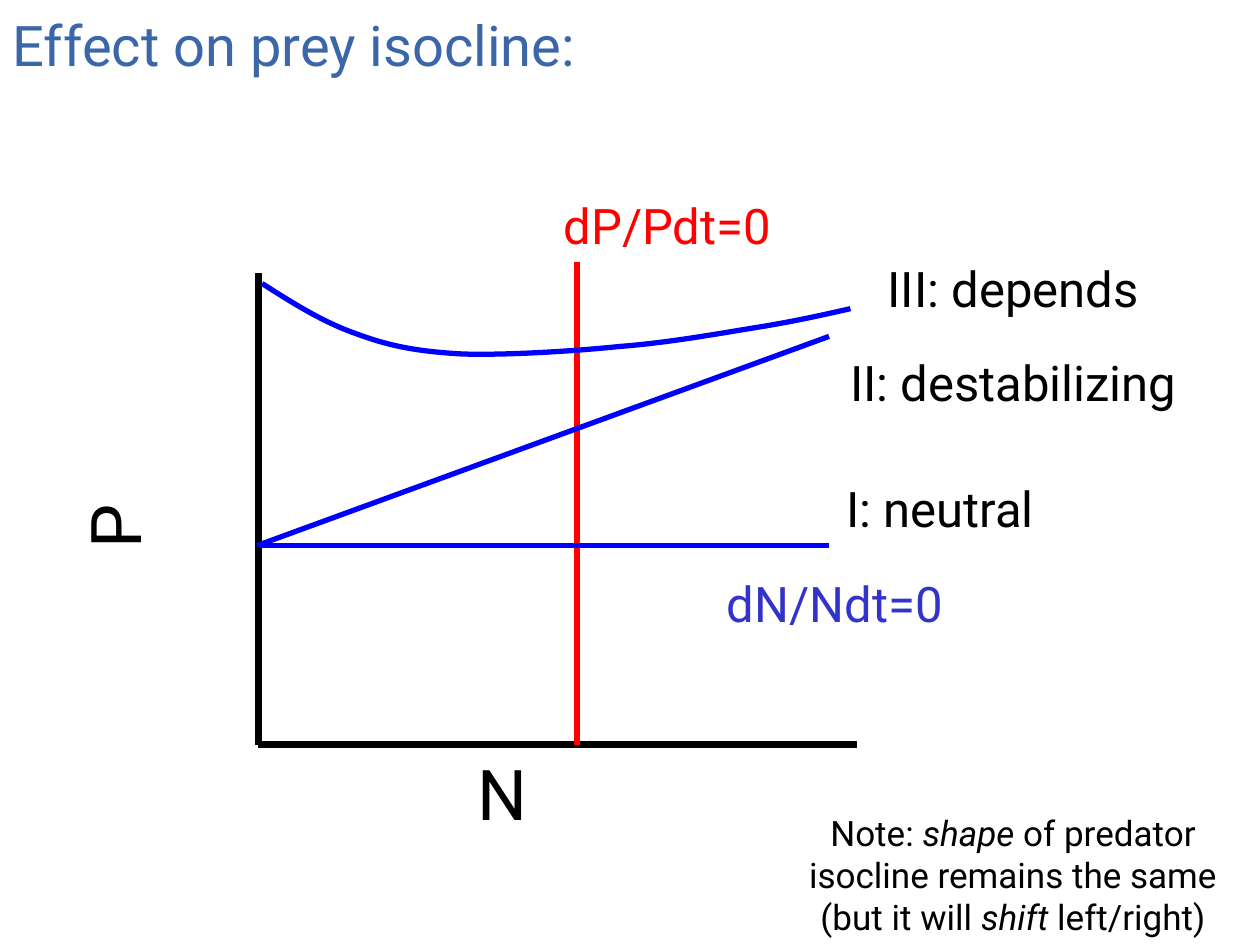
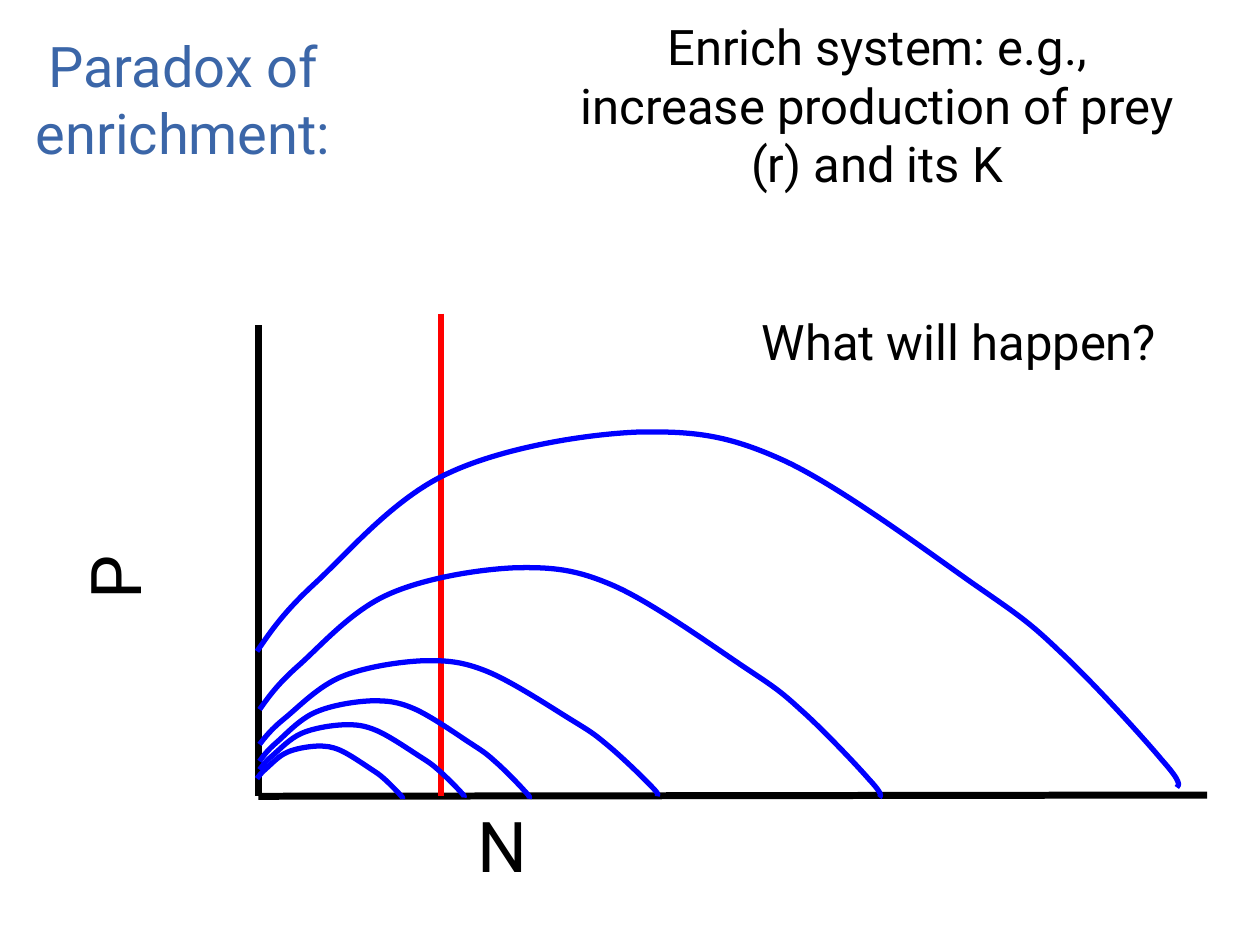
from lxml import etree
from pptx import Presentation
from pptx.dml.color import RGBColor
from pptx.enum import shapes, text
from pptx.oxml.ns import qn
from pptx.util import Inches, Pt

FONT = "Roboto"
TITLE_BLUE = RGBColor(0x3B, 0x66, 0xA8)
PREY_BLUE = RGBColor(0x00, 0x00, 0xFF)
PREY_LABEL = RGBColor(0x33, 0x33, 0xCC)
PREDATOR_RED = RGBColor(0xFF, 0x00, 0x00)
BLACK = RGBColor(0x00, 0x00, 0x00)
CENTER, LEFT = text.PP_ALIGN.CENTER, text.PP_ALIGN.LEFT
ORIGIN_X = 2.05


def write(box, at, words, size, color, align=CENTER, wrap=True):
    box.left, box.top, box.width, box.height = [Inches(n) for n in at]
    frame = box.text_frame
    frame.word_wrap = wrap
    frame.auto_size = text.MSO_AUTO_SIZE.NONE
    frame.vertical_anchor = text.MSO_ANCHOR.TOP
    paragraph = frame.paragraphs[0]
    paragraph.alignment = align
    for i, part in enumerate(words.split("_")):
        run = paragraph.add_run()
        run.text = part
        run.font.name = FONT
        run.font.size = Pt(size)
        run.font.color.rgb = color
        run.font.italic = i % 2 == 1
    return paragraph


def draw_line(slide, x1, y1, x2, y2, color, width):
    line = slide.shapes.add_connector(
        shapes.MSO_CONNECTOR.STRAIGHT, *[Inches(n) for n in (x1, y1, x2, y2)])
    line.line.color.rgb = color
    line.line.width = Pt(width)
    etree.SubElement(line._element.spPr, qn("a:effectLst"))


prs = Presentation()
prs.slide_width, prs.slide_height = Inches(10), Inches(7.5)

graphs = [
    ("Effect on prey isocline:", (0, 0.03, 5.75, 0.64), LEFT, 5.91, (6.8, 5.91), 4.58),
    ("Paradox of enrichment:", (-0.17, 0.2, 3.25, 1.18), CENTER, 6.32, (9.58, 6.31), 3.5),
]
for title, title_at, title_align, base, axis_end, predator_x in graphs:
    slide = prs.slides.add_slide(prs.slide_layouts[5])
    write(slide.shapes.title, title_at, title, 32, TITLE_BLUE, title_align)
    draw_line(slide, ORIGIN_X, base - 3.74, ORIGIN_X, base, BLACK, 4)
    draw_line(slide, ORIGIN_X, base, *axis_end, BLACK, 4)
    draw_line(slide, predator_x, base - 3.83, predator_x, base, PREDATOR_RED, 3)
    for letter, at, turn in [("N", (3.69, base - 0.1, 0.64, 0.87), 0),
                             ("P", (0.59, base - 2.15, 0.52, 0.86), 270)]:
        axis_label = slide.shapes.add_textbox(0, 0, 0, 0)
        write(axis_label, at, letter, 40, BLACK, LEFT, False).line_spacing = 1.15
        axis_label.rotation = turn

response, enrichment = prs.slides
for start_x, end_x, end_y in [(2.08, 6.58, 4.33), (2.04, 6.58, 2.67)]:
    draw_line(response, start_x, 4.33, end_x, end_y, PREY_BLUE, 3)

labels = [
    (response, (5.25, 4.5, 2.75, 0.57), "dN/Ndt=0", 28, PREY_LABEL),
    (response, (3.92, 1.5, 2.75, 0.57), "dP/Pdt=0", 28, PREDATOR_RED),
    (response, (5.5, 3.75, 3.92, 0.57), "I: neutral", 28, BLACK),
    (response, (6.08, 2.75, 3.92, 0.57), "II: destabilizing", 28, BLACK),
    (response, (6.08, 2, 3.92, 0.57), "III: depends", 28, BLACK),
    (response, (6.08, 6.39, 3.92, 1.11),
     "Note: _shape_ of predator isocline remains the same (but it will _shift_ left/right)",
     20, BLACK),
    (enrichment, (4.5, 0.08, 4.92, 1.5),
     "Enrich system: e.g., increase production of prey (r) and its K", 28, BLACK),
    (enrichment, (5.32, 2.42, 4.58, 0.57), "What will happen?", 28, BLACK),
]
for slide, *label in labels:
    write(slide.shapes.add_textbox(0, 0, 0, 0), *label)

type_three = [
    (2.08, 2.25), (2.33, 2.41), (2.57, 2.56), (2.83, 2.65), (3.1, 2.75), (3.32, 2.79),
    (3.67, 2.81), (4.01, 2.82), (4.53, 2.79), (4.92, 2.75), (5.31, 2.72), (5.69, 2.65),
    (6, 2.6), (6.31, 2.55), (6.53, 2.5), (6.75, 2.45)]
hump = [
    (2.04, 5.17), (2.15, 5.01), (2.25, 4.86), (2.5, 4.63), (2.76, 4.39), (3.12, 3.96),
    (3.55, 3.76), (3.97, 3.56), (4.61, 3.45), (5.05, 3.43), (5.5, 3.42), (5.77, 3.45),
    (6.21, 3.65), (6.65, 3.85), (7.35, 4.37), (7.72, 4.63), (8.08, 4.88), (8.16, 4.93),
    (8.41, 5.17), (8.66, 5.4), (9.07, 5.85), (9.22, 6.03), (9.38, 6.21), (9.36, 6.23),
    (9.34, 6.25)]
hump_left, hump_top, hump_width, hump_height = 2.04, 3.42, 7.33, 2.83
prey_extents = [
    (2.06, 5.75, 1.63, 0.58), (2.06, 5.56, 2.15, 0.78), (2.06, 5.24, 3.17, 1.08),
    (2.06, 4.5, 4.94, 1.83), (2.04, 3.42, 7.33, 2.83), (2.04, 5.92, 1.16, 0.42)]

isoclines = [(response, type_three)]
for left, top, width, height in prey_extents:
    isoclines.append((enrichment, [
        (left + (x - hump_left) * width / hump_width,
         top + (y - hump_top) * height / hump_height) for x, y in hump]))

for slide, points in isoclines:
    controls = [(Inches(x), Inches(y)) for x, y in points]
    builder = slide.shapes.build_freeform(*controls[0])
    builder.add_line_segments(controls[1:], close=False)
    isocline = builder.convert_to_shape()
    isocline.shadow.inherit = False
    isocline.fill.background()
    isocline.line.color.rgb = PREY_BLUE
    isocline.line.width = Pt(3)
    outline = isocline._element.spPr.find(".//" + qn("a:path"))
    segments = outline.findall(qn("a:lnTo"))
    for i in range(0, len(segments), 3):
        bezier = etree.SubElement(outline, qn("a:cubicBezTo"))
        for segment in segments[i:i + 3]:
            bezier.append(segment[0])
            outline.remove(segment)

prs.save("out.pptx")
